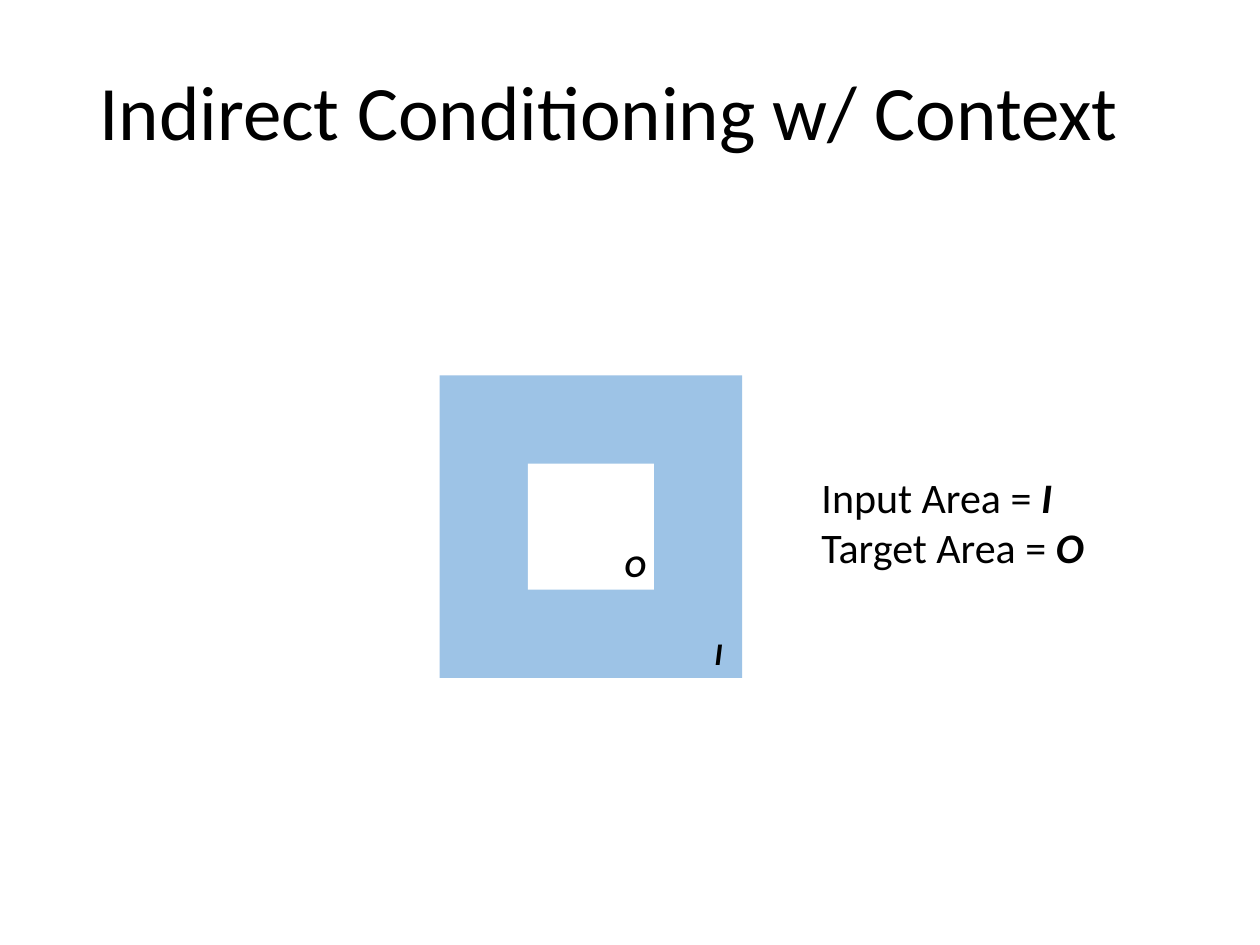
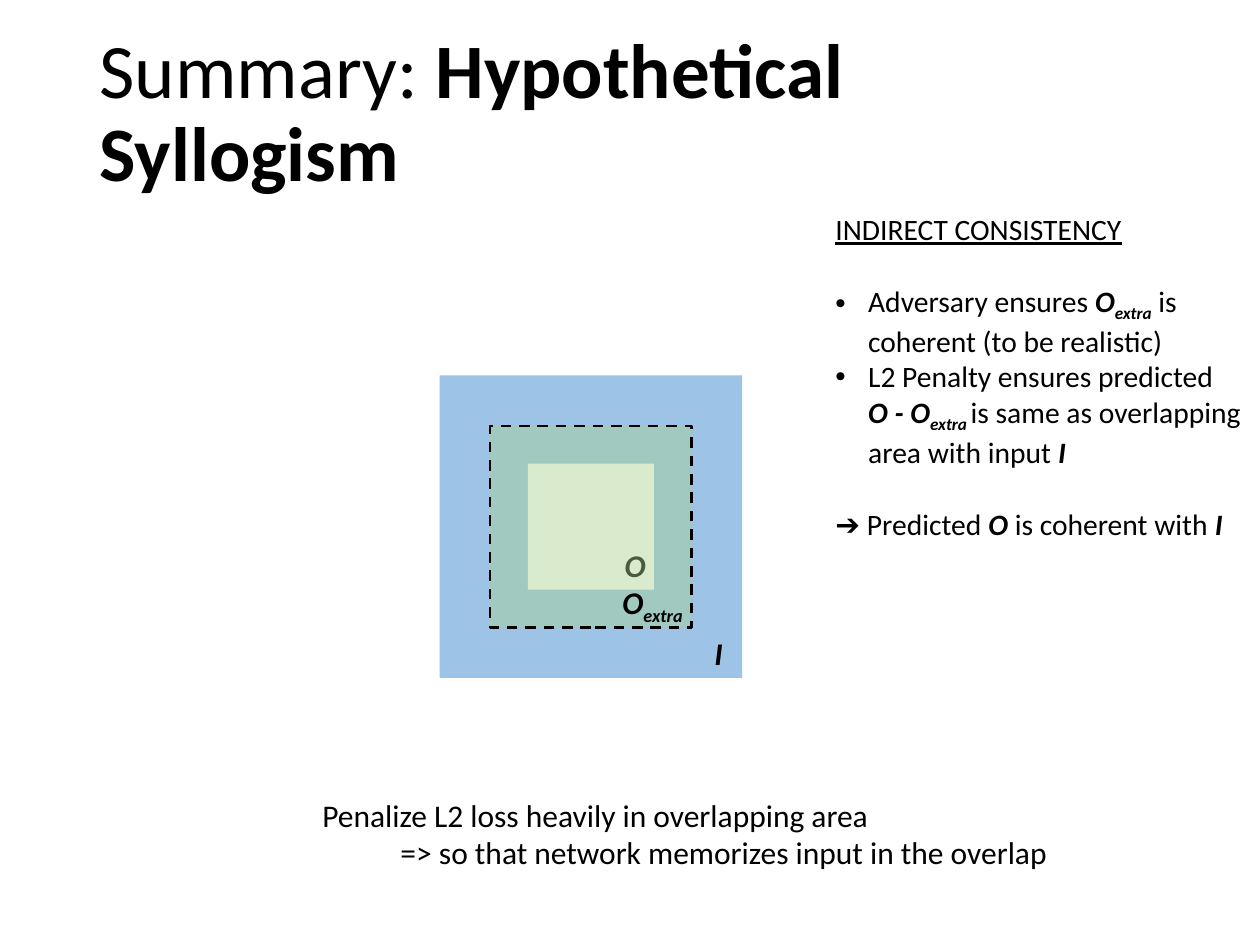
from pptx import Presentation
from pptx import util as u
from pptx.dml.color import RGBColor
from pptx.enum import dml, shapes, text
from pptx.oxml.ns import qn
from lxml import etree

# Grid: 100 columns by 75 rows of square cells
COLS, ROWS = 100, 75
CELL = u.Inches(10) // COLS
FONT, INK = "Calibri", "000000"
BLUE, GREEN, WHITE = "9DC3E6", "A9D18E", "FFFFFF"
MID = (46.9, 41.8)  # shared centre of the nested areas

# Run styles
PLAIN, UNDER = {}, {"underline": True}
VAR = {"bold": True, "italic": True}
SUB = {**VAR, "base": -25000}


def color(code):
    return RGBColor.from_string(code)


def cells(*vals):
    return [round(v * CELL) for v in vals]


def put(obj, vals):
    for key, val in vals.items():
        setattr(obj, key, val)


def write(para, runs, size):
    """Add (words, style) runs; a newline becomes a line break."""
    for words, style in runs:
        for i, part in enumerate(words.split("\n")):
            if i:
                para.add_line_break()
            if not part:
                continue
            run = para.add_run()
            run.text = part
            look = dict(style)
            base = look.pop("base", None)
            put(run.font, {"name": FONT, "size": u.Pt(size), **look})
            run.font.color.rgb = color(INK)
            if base:
                run.font._element.set("baseline", str(base))


def indent(para, left, hang=0, mark=None):
    props = para._p.get_or_add_pPr()
    props.set("marL", str(u.Inches(left)))
    props.set("indent", str(-u.Inches(hang)))
    if mark:
        font = etree.SubElement(props, qn("a:buFont"))
        font.set("typeface", "Arial")
        etree.SubElement(props, qn("a:buChar")).set("char", mark)


def title(slide, runs):
    head = slide.shapes.title
    left, top, width, height = cells(6.9, 4, 86.2, 10.3)
    put(head, {"left": left, "top": top, "width": width, "height": height})
    put(head.text_frame, {"vertical_anchor": text.MSO_ANCHOR.MIDDLE,
                          "word_wrap": True})
    para = head.text_frame.paragraphs[0]
    put(para, {"alignment": text.PP_ALIGN.LEFT, "line_spacing": 0.9})
    write(para, runs, 44)


def box(tree, at, paras, size, inset=0.06, wrap=True, **vals):
    """Add a text box and return its paragraphs."""
    frame = tree.add_textbox(*cells(*at)).text_frame
    sides = ("left", "top", "right", "bottom")
    put(frame, {f"margin_{s}": u.Inches(inset) for s in sides})
    put(frame, {"word_wrap": wrap, "vertical_anchor": text.MSO_ANCHOR.MIDDLE,
                "auto_size": text.MSO_AUTO_SIZE.SHAPE_TO_FIT_TEXT})
    for i, runs in enumerate(paras):
        para = frame.paragraphs[0] if i == 0 else frame.add_paragraph()
        put(para, vals)
        write(para, runs, size)
    return frame.paragraphs


def square(tree, side, fill, alpha=None, dash=False):
    """Add a square around the shared centre."""
    x, y = (c - side / 2 for c in MID)
    area = tree.add_shape(shapes.MSO_SHAPE.RECTANGLE,
                          *cells(x, y, side, side))
    area.shadow.inherit = False
    area.fill.solid()
    area.fill.fore_color.rgb = color(fill)
    if alpha:
        tone = area._element.spPr.find(qn("a:solidFill"))[0]
        etree.SubElement(tone, qn("a:alpha")).set("val", str(alpha * 1000))
    if dash:
        area.line.color.rgb = color(INK)
        put(area.line, {"width": u.Pt(1.5),
                        "dash_style": dml.MSO_LINE.DASH})
    else:
        area.line.fill.background()


def label(tree, x, y, width, runs):
    """Add an area name centred on (x, y)."""
    box(tree, (x - width / 2, y - 2.1, width, 4.2), [runs], 18,
        wrap=False, alignment=text.PP_ALIGN.CENTER)


def areas(tree, extra=False):
    square(tree, 24, BLUE)
    square(tree, 10, WHITE)
    label(tree, 50.4, 44.8, 3.1, [("O", VAR)])
    if extra:
        square(tree, 16, GREEN, alpha=44, dash=True)
        label(tree, 51.8, 48, 6.4, [("O", VAR), ("extra", SUB)])
    label(tree, 57, 51.8, 1.8, [("I", VAR)])


def context(slide):
    title(slide, [("Indirect Conditioning w/ Context", PLAIN)])
    areas(slide.shapes)
    box(slide.shapes, (64.6, 36.8, 33.5, 9.2),
        [[("Input Area = ", PLAIN), ("I", VAR)],
         [("Target Area = ", PLAIN), ("O", VAR)]], 24)


def summary(slide):
    title(slide, [("Summary: ", PLAIN),
                  ("Hypothetical Syllogism", {"bold": True})])
    areas(slide.shapes.add_group_shape().shapes, extra=True)

    # Note below the areas
    note = box(slide.shapes, (24.6, 62.6, 59.8, 7.1),
               [[("Penalize L2 loss heavily in overlapping area", PLAIN)],
                [("=> so that network memorizes input in the overlap",
                  PLAIN)]], 18, inset=0.1, wrap=False)
    indent(note[1], 0.62)

    # Argument at the right
    size = 16.9
    lines = box(slide.shapes, (65.9, 16.7, 33.2, 26.3), [
        [("INDIRECT CONSISTENCY", UNDER)],
        [("Adversary ensures ", PLAIN), ("O", VAR), ("extra", SUB),
         (" is coherent (to be realistic)", PLAIN)],
        [("L2 Penalty ensures predicted\n", PLAIN), ("O - O", VAR),
         ("extra ", SUB), ("is same as overlapping area with input ", PLAIN),
         ("I", VAR)],
        [("➔ Predicted ", PLAIN), ("O ", VAR), ("is coherent with ", PLAIN),
         ("I", VAR)]], size, inset=0.04)
    for para in lines[1:3]:
        indent(para, 0.26, 0.26, "•")
    for para in (lines[1], lines[3]):
        para.space_before = u.Pt(1.22 * size)


def main():
    deck = Presentation()
    put(deck, {"slide_width": COLS * CELL, "slide_height": ROWS * CELL})
    for build in (context, summary):
        build(deck.slides.add_slide(deck.slide_layouts[5]))
    deck.save("out.pptx")


if __name__ == "__main__":
    main()
